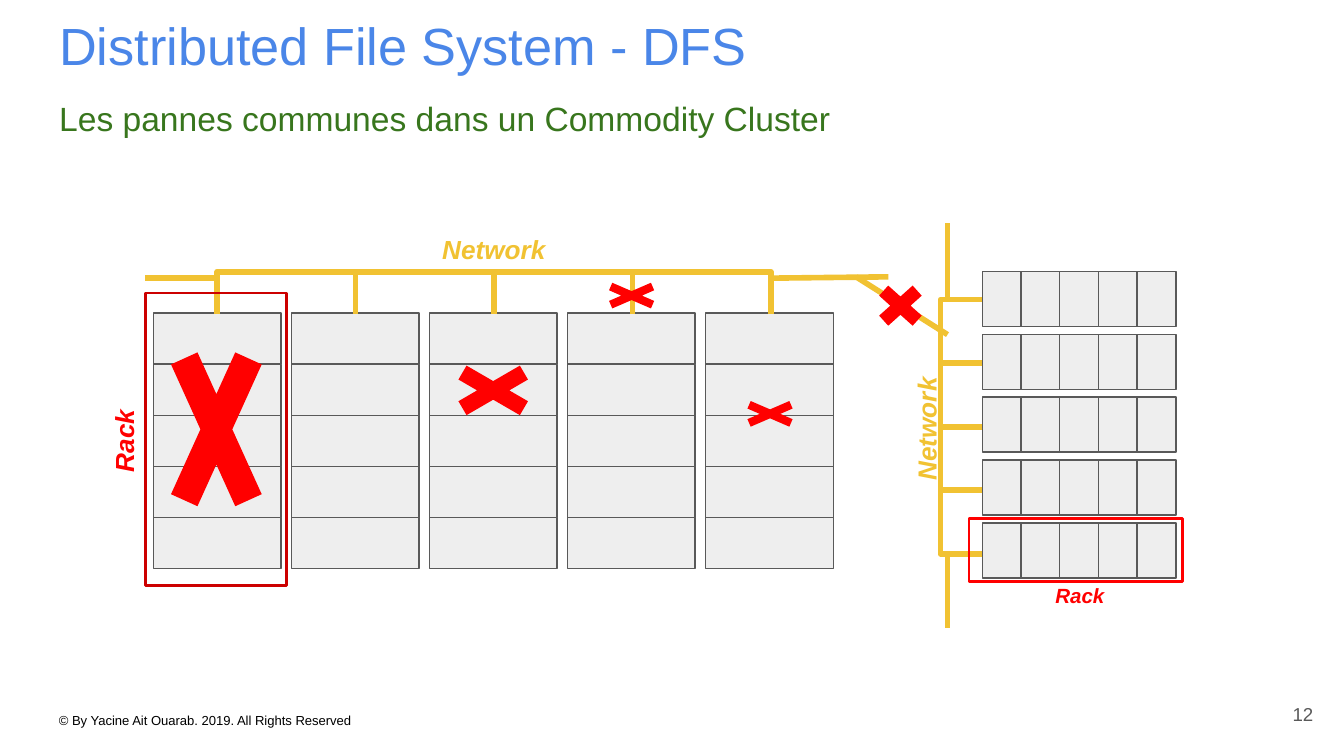
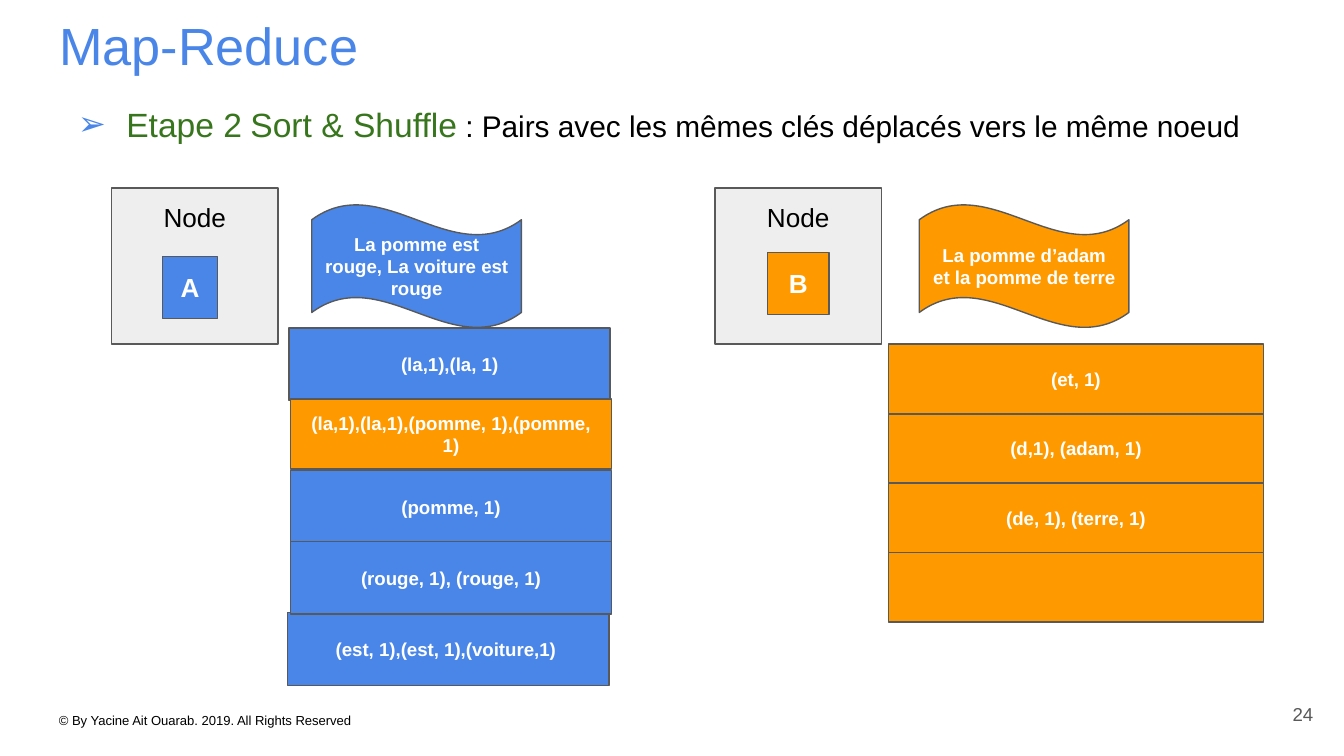
from lxml.etree import SubElement
from pptx import Presentation
from pptx.dml.color import RGBColor
from pptx.enum.shapes import MSO_CONNECTOR, MSO_SHAPE
from pptx.enum.text import MSO_ANCHOR, MSO_AUTO_SIZE, PP_ALIGN
from pptx.oxml.ns import qn
from pptx.util import Inches, Pt

THEME = {
    "ink": {
        "blue": "4A86E8", "green": "38761D", "black": "000000", "gray": "595959",
        "pale": "EEEEEE", "gold": "F1C232", "red": "FF0000", "dark": "CC0000",
        "orange": "FF9900", "white": "FFFFFF",
    },
    "type": {
        "title": ("blue", {"size": Pt(28)}),
        "lead": ("green", {"size": Pt(18)}),
        "body": ("black", {"size": Pt(16)}),
        "foot": ("black", {"size": Pt(7)}),
        "page": ("gray", {"size": Pt(10)}),
        "net": ("gold", {"size": Pt(14), "bold": True, "italic": True}),
        "rack": ("red", {"size": Pt(14), "bold": True, "italic": True}),
        "small": ("red", {"size": Pt(11), "bold": True, "italic": True}),
        "node": ("black", {"size": Pt(14)}),
        "mark": ("white", {"size": Pt(14), "bold": True}),
        "pair": ("white", {"size": Pt(10), "bold": True}),
    },
    "font": "Arial",
}
INK = {name: RGBColor.from_string(code) for name, code in THEME["ink"].items()}
LEFT, MID, RIGHT = PP_ALIGN.LEFT, PP_ALIGN.CENTER, PP_ALIGN.RIGHT
TOP, HALF = MSO_ANCHOR.TOP, MSO_ANCHOR.MIDDLE
RECT, CROSS, WAVE = MSO_SHAPE.RECTANGLE, MSO_SHAPE.MATH_MULTIPLY, MSO_SHAPE.WAVE


def write(shape, runs, align=MID, anchor=HALF):
    frame = shape.text_frame
    inset = Inches(0.1)
    form = {
        "word_wrap": True, "auto_size": MSO_AUTO_SIZE.NONE, "vertical_anchor": anchor,
        "margin_left": inset, "margin_right": inset,
        "margin_top": inset, "margin_bottom": inset,
    }
    for key, value in form.items():
        setattr(frame, key, value)
    para = frame.paragraphs[0]
    para.alignment = align
    para.space_before = Pt(0)
    for text, style in runs:
        run = para.add_run()
        run.text = text
        ink, look = THEME["type"][style]
        run.font.name = THEME["font"]
        run.font.color.rgb = INK[ink]
        for key, value in look.items():
            setattr(run.font, key, value)
    return para


def draw(shapes, kind, area, fill=None, line=None, width=0.75):
    shape = shapes.add_shape(kind, *map(Inches, area))
    shape.shadow.inherit = False
    if fill:
        shape.fill.solid()
        shape.fill.fore_color.rgb = INK[fill]
    else:
        shape.fill.background()
    if line:
        shape.line.color.rgb = INK[line]
        shape.line.width = Pt(width)
    else:
        shape.line.fill.background()
    return shape


deck = Presentation()
deck.slide_width = Inches(10)
deck.slide_height = deck.slide_width * 9 // 16

pages = []
for title, number in (("Distributed File System - DFS", "12"), ("Map-Reduce", "24")):
    page = deck.slides.add_slide(deck.slide_layouts[1])
    head, body = page.placeholders
    for holder, top, high in ((head, 0, 0.63), (body, 0.63, 4.47)):
        holder.left, holder.top = Inches(0.34), Inches(top)
        holder.width, holder.height = Inches(9.32), Inches(high)
    write(head, [(title, "title")], LEFT, TOP)
    foot = page.shapes.add_textbox(*map(Inches, (0.34, 5.2, 9.32, 0.24)))
    write(foot, [("© By Yacine Ait Ouarab. 2019. All Rights Reserved", "foot")], LEFT, TOP)
    count = page.shapes.add_textbox(*map(Inches, (9.27, 5.1, 0.6, 0.43)))
    write(count, [(number, "page")], RIGHT)
    pages.append((page.shapes, body))

shapes, body = pages[0]
para = write(body, [("Les pannes communes dans un Commodity Cluster", "lead")], LEFT, TOP)
props = para._p.get_or_add_pPr()
props.set("marL", "0")
props.set("indent", "0")
SubElement(props, qn("a:buNone"))

for rack in range(5):
    tower = shapes.add_group_shape().shapes
    for unit in range(5):
        area = (1.14 + 4.11 / 4 * rack, 2.33 + 1.52 / 4 * unit, 0.95, 0.38)
        draw(tower, RECT, area, "pale", "gray")
for rack in range(5):
    tray = shapes.add_group_shape().shapes
    for unit in range(5):
        area = (7.31 + 1.15 / 4 * unit, 2.02 + 1.87 / 4 * rack, 0.29, 0.41)
        draw(tray, RECT, area, "pale", "gray")

wires = []
for turn, count, left, top, across, down, high in (
    (270, 4, 2.13, 1.82, 1.03, 0, 1.03),
    (180, 4, 7.31, 2.23, 0, 1.42 / 3, 0.47),
):
    for gap in range(count):
        bend = shapes.add_connector(MSO_CONNECTOR.ELBOW, 0, 0, 0, 0)
        bend.left, bend.top = Inches(left + across * gap), Inches(top + down * gap)
        bend.width, bend.height = 600, Inches(high)
        wires.append((bend, turn))
for ends in (
    (7.05, 2.22, 7.05, 1.66),
    (7.05, 4.67, 7.05, 4.12),
    (5.73, 2.07, 6.61, 2.06),
    (1.08, 2.07, 1.61, 2.07),
    (6.37, 2.06, 7.05, 2.49),
):
    wires.append((shapes.add_connector(MSO_CONNECTOR.STRAIGHT, *map(Inches, ends)), 0))
for wire, turn in wires:
    wire.line.color.rgb = INK["gold"]
    wire.line.width = Pt(3)
    SubElement(wire._element.spPr, qn("a:effectLst"))
    if turn:
        frame = wire._element.spPr.find(qn("a:xfrm"))
        frame.set("rot", str(turn * 60000))
        frame.set("flipH", "1")
        guides = wire._element.spPr.find(qn("a:prstGeom")).find(qn("a:avLst"))
        SubElement(guides, qn("a:gd"), name="adj1", fmla="val -39687500")

for text, style, area, turn, align, anchor in (
    ("Network", "net", (3.16, 1.66, 1.03, 0.38), 0, MID, HALF),
    ("Network", "net", (6.35, 2.97, 1.03, 0.38), 270, LEFT, TOP),
    ("Rack", "rack", (0.53, 3.15, 0.78, 0.26), 270, MID, HALF),
    ("Rack", "small", (7.62, 4.33, 0.83, 0.2), 0, MID, HALF),
):
    label = shapes.add_textbox(*map(Inches, area))
    label.rotation = turn
    write(label, [(text, style)], align, anchor)

draw(shapes, RECT, (1.08, 2.18, 1.05, 2.18), line="dark", width=1.5)
draw(shapes, RECT, (7.21, 3.86, 1.59, 0.47), line="red", width=1.5)
for area in (
    (1.15, 2.18, 0.92, 2.03),
    (3.23, 2.65, 0.88, 0.51),
    (4.4, 2.07, 0.6, 0.26),
    (5.43, 2.95, 0.6, 0.26),
    (6.46, 2.06, 0.48, 0.43),
):
    draw(shapes, CROSS, area, "red").adjustments[0] = 0.235

shapes, body = pages[1]
para = write(body, [
    ("Etape 2", "lead"),
    (" ", "body"),
    ("Sort & Shuffle", "lead"),
    (" : Pairs avec les mêmes clés déplacés vers le même noeud", "body"),
], LEFT, TOP)
para.line_spacing = 1.15
props = para._p.get_or_add_pPr()
props.set("marL", str(Inches(0.5)))
props.set("indent", str(Inches(-0.36)))
tint = SubElement(props, qn("a:buClr"))
SubElement(tint, qn("a:srgbClr"), val=THEME["ink"]["blue"])
SubElement(props, qn("a:buChar"), char="➢")

for name, ink, left, mark, flag, text in (
    ("A", "blue", 0.83, (1.21, 1.91, 0.41, 0.46), 2.32,
     "La pomme est rouge, La voiture est rouge"),
    ("B", "orange", 5.32, (5.71, 1.88, 0.46, 0.46), 6.84,
     "La pomme d’adam et la pomme de terre"),
):
    wave = draw(shapes, WAVE, (flag, 1.52, 1.56, 0.92), ink, "gray")
    wave.adjustments[0] = 0.125
    write(wave, [(text, "pair")])
    node = draw(shapes, RECT, (left, 1.4, 1.24, 1.16), "pale", "gray")
    write(node, [("Node", "node")], MID, TOP)
    write(draw(shapes, RECT, mark, ink, "gray"), [(name, "mark")])

for ink, top, step, wide, high, rows in (
    ("blue", 2.44, 0.53, 2.39, 0.54, (
        (4, 2.14, "(est, 1),(est, 1),(voiture,1) "),
        (2, 2.16, "(pomme, 1)"),
        (3, 2.16, "(rouge, 1), (rouge, 1)"),
        (0, 2.15, "(la,1),(la, 1)"),
    )),
    ("orange", 2.56, 1.55 / 3, 2.79, 0.52, (
        (1, 6.61, "(d,1), (adam, 1)"),
        (2, 6.61, "(de, 1), (terre, 1)"),
        (3, 6.61, ""),
        (0, 6.61, "(et, 1)"),
    )),
    ("orange", 2.44, 0.53, 2.39, 0.52, (
        (1, 2.16, "(la,1),(la,1),(pomme, 1),(pomme, 1)"),
    )),
):
    stack = shapes.add_group_shape().shapes if len(rows) > 1 else shapes
    for row, left, text in rows:
        cell = draw(stack, RECT, (left, top + step * row, wide, high), ink, "gray")
        if text:
            write(cell, [(text, "pair")])

deck.save("out.pptx")
